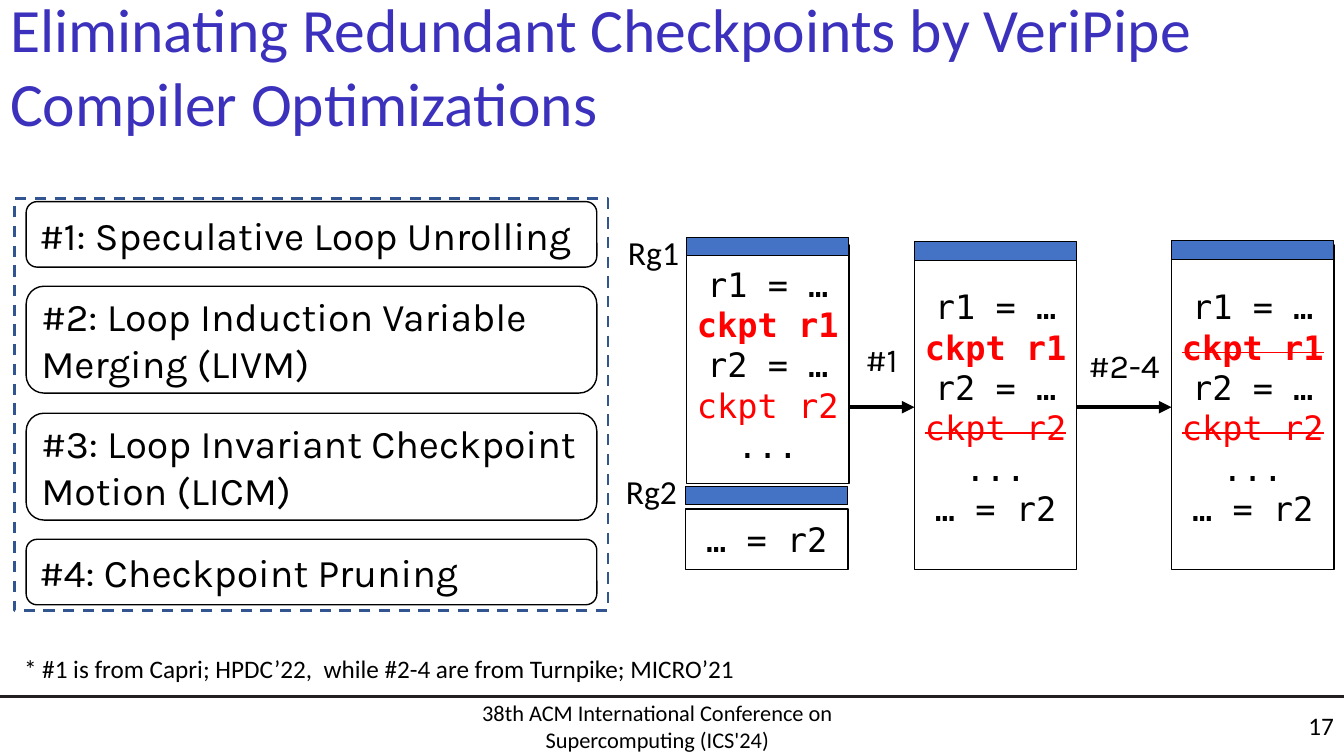
from lxml import etree
from pptx import Presentation
from pptx import util as u
from pptx.dml.color import RGBColor
from pptx.enum import dml, shapes, text
from pptx.oxml.ns import qn

PX = 9144
BLACK, WHITE, RED = "000000", "FFFFFF", "FF0000"
BAR_BLUE, DASH_BLUE, TITLE_BLUE, RULE_GREY = "4472C4", "325491", "3B31BD", "231F20"
SANS, MONO, KARLA = "Calibri", "DejaVu Sans Mono", "Karla"
LEFT, CENTER, RIGHT = text.PP_ALIGN.LEFT, text.PP_ALIGN.CENTER, text.PP_ALIGN.RIGHT
BAR_HEIGHT = 18

ASSIGN_R1, ASSIGN_R2 = ("r1 = …", BLACK, False, False), ("r2 = …", BLACK, False, False)
DOTS, USE_R2 = ("...", BLACK, False, False), ("… = r2", BLACK, False, False)


def checkpoint(register, bold=False, struck=False):
    return f"ckpt {register}", RED, bold, struck


def color(value):
    return RGBColor.from_string(value)


def emu(box):
    return [length * PX for length in box]


def write(frame, lines, font, size, align=LEFT, wrap=True, anchor=text.MSO_ANCHOR.MIDDLE):
    frame.word_wrap = wrap
    frame.auto_size = text.MSO_AUTO_SIZE.NONE
    frame.vertical_anchor = anchor
    for index, (words, ink, bold, struck) in enumerate(lines):
        paragraph = frame.add_paragraph() if index else frame.paragraphs[0]
        paragraph.alignment = align
        paragraph.font.name = font
        paragraph.font.size = u.Pt(size)
        paragraph.font.bold = bold
        paragraph.font.color.rgb = color(ink)
        run = paragraph.add_run()
        run.text = words
        if struck:
            run._r.get_or_add_rPr().set("strike", "sngStrike")


def add_label(slide, box, words, font, size, align=LEFT, wrap=False,
              anchor=text.MSO_ANCHOR.TOP):
    label = slide.shapes.add_textbox(*emu(box))
    write(label.text_frame, [(words, BLACK, False, False)], font, size, align, wrap, anchor)


def add_box(slide, box, fill=None, line=BLACK, width=1, kind=shapes.MSO_SHAPE.RECTANGLE):
    shape = slide.shapes.add_shape(kind, *emu(box))
    shape.shadow.inherit = False
    if fill:
        shape.fill.solid()
        shape.fill.fore_color.rgb = color(fill)
    else:
        shape.fill.background()
    shape.line.color.rgb = color(line)
    shape.line.width = u.Pt(width)
    return shape


def add_line(slide, start, end, ink, width):
    line = slide.shapes.add_connector(shapes.MSO_CONNECTOR.STRAIGHT, *emu(start + end))
    line.line.color.rgb = color(ink)
    line.line.width = u.Pt(width)
    etree.SubElement(line._element.spPr, qn("a:effectLst"))
    return line


def add_arrow(slide, start, end, target, source=None):
    arrow = add_line(slide, start, end, BLACK, 3)
    if source:
        arrow.begin_connect(source, 3)
    arrow.end_connect(target, 1)
    etree.SubElement(arrow.line._get_or_add_ln(), qn("a:tailEnd"), type="triangle")


def add_title(slide, box, words):
    title = slide.shapes.title
    title.left, title.top, title.width, title.height = emu(box)
    write(title.text_frame, [(words, TITLE_BLUE, False, False)], SANS, 44)


def add_optimizations(slide, box):
    left, top, width, height = box
    cards = [
        (3, 65, "#1: Speculative Loop Unrolling"),
        (87, 106, "#2: Loop Induction Variable Merging (LIVM)"),
        (213, 106, "#3: Loop Invariant Checkpoint Motion (LICM)"),
        (338, 65, "#4: Checkpoint Pruning"),
    ]
    for offset, card_height, words in cards:
        card = add_box(slide, (left + 12, top + offset, width - 23, card_height),
                       kind=shapes.MSO_SHAPE.ROUNDED_RECTANGLE)
        write(card.text_frame, [(words, BLACK, False, False)], KARLA, 28)
    frame = add_box(slide, box, line=DASH_BLUE, width=2)
    frame.line.dash_style = dml.MSO_LINE.DASH


def add_code(slide, box, lines, bar_top):
    left, top, width, height = box
    code = add_box(slide, box, WHITE)
    code.text_frame.margin_left = code.text_frame.margin_right = 5 * PX
    write(code.text_frame, lines, MONO, 24, CENTER)
    add_box(slide, (left, bar_top, width, BAR_HEIGHT), BAR_BLUE, width=0)
    return code


def add_pipeline(slide, box):
    left, top, width, height = box
    bottom, middle = top + height, top + 168
    code_top, code_width = top + 7, 161
    unrolled_left, pruned_left = left + 226, left + width - code_width

    add_code(slide, (left, code_top, code_width, 237),
             [ASSIGN_R1, checkpoint("r1", bold=True), ASSIGN_R2, checkpoint("r2"), DOTS], top)
    add_code(slide, (left - 1, bottom - 60, code_width, 60), [USE_R2], top + 247)
    unrolled = add_code(
        slide, (unrolled_left, code_top, code_width, height - 7),
        [ASSIGN_R1, checkpoint("r1", bold=True), ASSIGN_R2,
         checkpoint("r2", struck=True), DOTS, USE_R2], top + 4)
    pruned = add_code(
        slide, (pruned_left, code_top, code_width, height - 7),
        [ASSIGN_R1, checkpoint("r1", bold=True, struck=True), ASSIGN_R2,
         checkpoint("r2", struck=True), DOTS, USE_R2], top + 3)

    add_arrow(slide, (left + code_width, middle), (unrolled_left, middle), unrolled)
    add_arrow(slide, (unrolled_left + code_width, middle), (pruned_left, middle),
              pruned, unrolled)
    add_label(slide, (left + 162, top + 95, 63, 50), "#1", KARLA, 24, CENTER)
    add_label(slide, (left + 387, top + 101, 94, 50), "#2-4", KARLA, 24, CENTER)
    add_label(slide, (left - 68, top - 11, 72, 50), "Rg1", SANS, 24)
    add_label(slide, (left - 70, top + 226, 72, 50), "Rg2", SANS, 24)


def add_footer(slide, box):
    left, top, width, height = box
    middle = text.MSO_ANCHOR.MIDDLE
    add_label(slide, (left + 14, top - 48, 743, 40),
              "* #1 is from Capri; HPDC’22,  while #2-4 are from Turnpike; MICRO’21", SANS, 18)
    add_line(slide, (left, top), (left + width, top), RULE_GREY, 1.5)
    add_label(slide, (left + 413, top + 6, 478, 46),
              "38th ACM International Conference on Supercomputing (ICS'24)",
              SANS, 16, CENTER, True, middle)
    add_label(slide, (left + width - 96, top + 9, 96, 40), "17", SANS, 18, RIGHT, True, middle)


def main():
    presentation = Presentation()
    presentation.slide_width, presentation.slide_height = emu((1333, 750))
    slide = presentation.slides.add_slide(presentation.slide_layouts[5])
    add_title(slide, (0, 0, 1213, 129),
              "Eliminating Redundant Checkpoints by VeriPipe Compiler Optimizations")
    add_optimizations(slide, (14, 197, 589, 409))
    add_pipeline(slide, (681, 236, 642, 329))
    add_footer(slide, (0, 691, 1333, 59))
    presentation.save("out.pptx")


if __name__ == "__main__":
    main()
